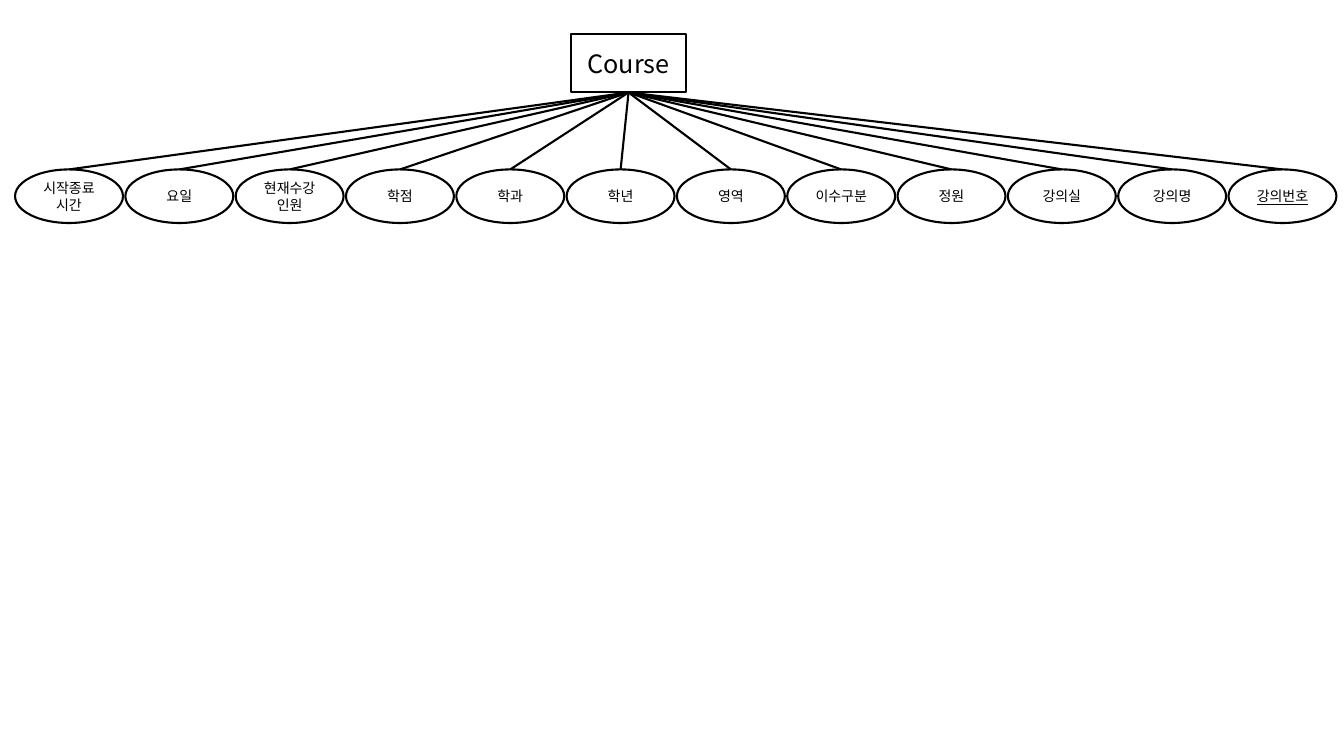
from lxml import etree
from pptx import Presentation
from pptx.dml.color import RGBColor
from pptx.enum.shapes import MSO_CONNECTOR, MSO_SHAPE
from pptx.enum.text import MSO_ANCHOR, PP_ALIGN
from pptx.oxml.ns import qn
from pptx.util import Cm, Pt

RECTANGLE, ELLIPSE = MSO_SHAPE.RECTANGLE, MSO_SHAPE.OVAL
STRAIGHT = MSO_CONNECTOR.STRAIGHT
CENTER, MIDDLE = PP_ALIGN.CENTER, MSO_ANCHOR.MIDDLE
BLACK = RGBColor(0x00, 0x00, 0x00)
WHITE = RGBColor(0xFF, 0xFF, 0xFF)
FONT = "Noto Sans CJK KR"
LINE_WIDTH = Pt(1.5)

ATTRIBUTES = ["시작종료시간", "요일", "현재수강인원", "학점", "학과", "학년",
              "영역", "이수구분", "정원", "강의실", "강의명", "강의번호"]
KEY_ATTRIBUTE = "강의번호"
FIRST_LEFT, ATTRIBUTE_TOP, ATTRIBUTE_PITCH = 0.38, 4.27, 2.78
ATTRIBUTE_WIDTH, ATTRIBUTE_HEIGHT = 2.72, 1.35
BOTTOM_SITE, TOP_SITE = 2, 0


def add_node(kind, left, top, width, height, text, size):
    """Add an outlined shape with centred text, in Latin or Korean script."""
    shape = slide.shapes.add_shape(kind, Cm(left), Cm(top), Cm(width), Cm(height))
    shape.shadow.inherit = False
    shape.fill.solid()
    shape.fill.fore_color.rgb = WHITE
    shape.line.color.rgb = BLACK
    shape.line.width = LINE_WIDTH
    shape.text_frame.text = text
    shape.text_frame.word_wrap = True
    shape.text_frame.vertical_anchor = MIDDLE
    paragraph = shape.text_frame.paragraphs[0]
    paragraph.alignment = CENTER
    run = paragraph.runs[0]
    run.font.name = FONT
    run.font.size = Pt(size)
    run.font.color.rgb = BLACK
    east_asian = etree.SubElement(run.font._element, qn("a:ea"))
    east_asian.set("typeface", FONT)
    return shape


presentation = Presentation()
presentation.slide_width = Cm(33.87)
presentation.slide_height = Cm(19.05)
slide = presentation.slides.add_slide(presentation.slide_layouts[6])

# Entity
course = add_node(RECTANGLE, 14.38, 0.86, 2.92, 1.47, "Course", 18)

# Attributes in one evenly spaced row
attribute_shapes = []
for index, name in enumerate(ATTRIBUTES):
    attribute = add_node(ELLIPSE, FIRST_LEFT + index * ATTRIBUTE_PITCH, ATTRIBUTE_TOP,
                         ATTRIBUTE_WIDTH, ATTRIBUTE_HEIGHT, name, 10)
    if name == KEY_ATTRIBUTE:
        attribute.text_frame.paragraphs[0].runs[0].font.underline = True
    attribute_shapes.append(attribute)

# Lines from the entity to each attribute
for attribute in attribute_shapes:
    connector = slide.shapes.add_connector(STRAIGHT, 0, 0, 0, 0)
    connector.begin_connect(course, BOTTOM_SITE)
    connector.end_connect(attribute, TOP_SITE)
    connector.line.color.rgb = BLACK
    connector.line.width = LINE_WIDTH
    etree.SubElement(connector._element.spPr, qn("a:effectLst"))

presentation.save("out.pptx")
